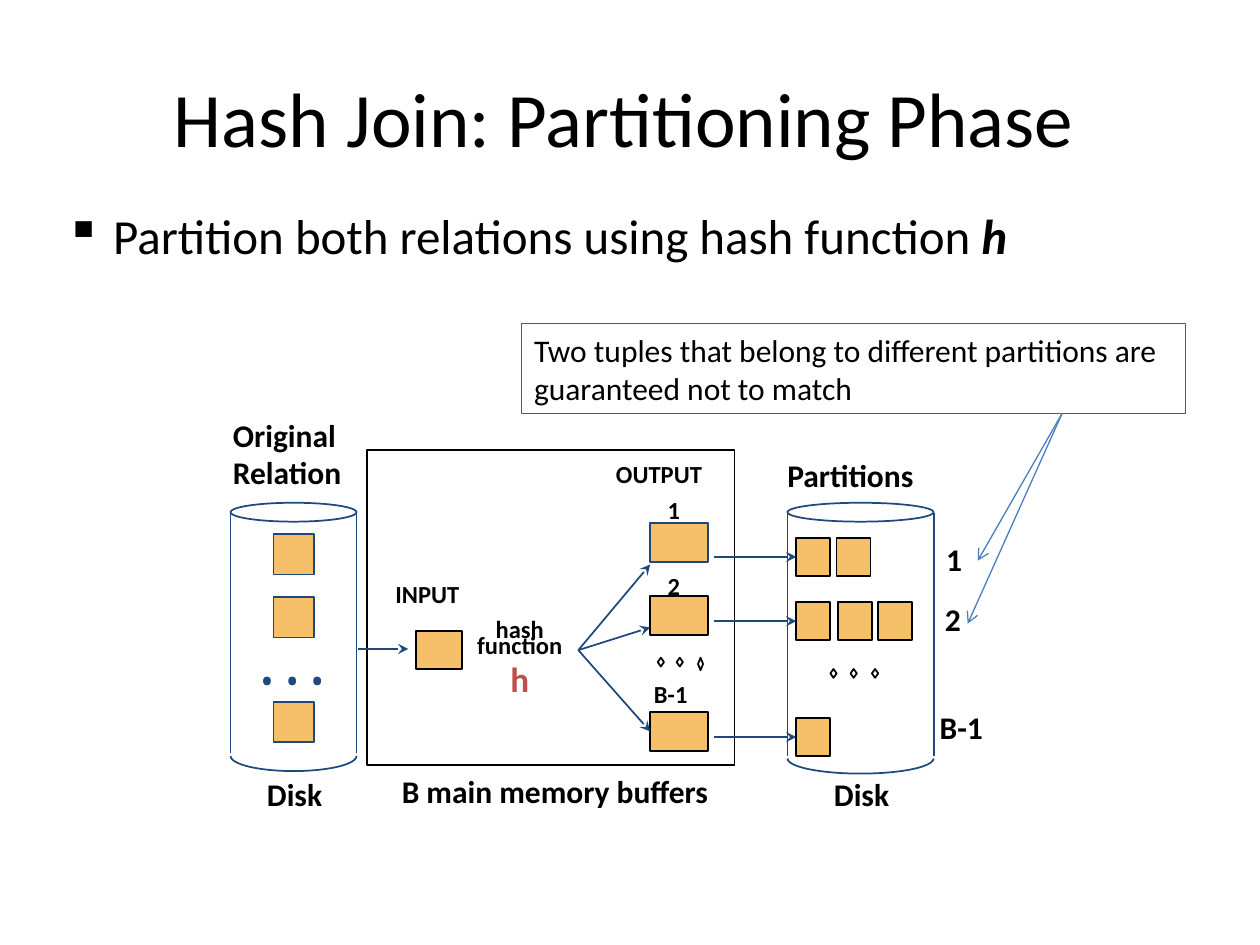
from dataclasses import dataclass

from lxml import etree
from pptx import Presentation
from pptx.dml.color import RGBColor
from pptx.enum import shapes as sh, text as tx
from pptx.oxml.ns import qn
from pptx.util import Inches, Pt


@dataclass(frozen=True)
class Theme:
    font: str = "Calibri"
    dots_font: str = "Cambria"
    ink: str = "000000"
    navy: str = "1F497D"
    page: str = "F6BF69"
    hash: str = "C0504D"
    callout: str = "0070C0"
    pointer: str = "4B7EBC"
    title_size: int = 44
    body_size: int = 28
    dots_size: int = 32
    hash_size: int = 20
    label_size: int = 18
    small_size: int = 14


THEME = Theme()


@dataclass(frozen=True)
class Box:
    left: float
    top: float
    width: float
    height: float

    @property
    def emu(self):
        return [Inches(v) for v in (self.left, self.top, self.width, self.height)]

    @property
    def middle(self) -> float:
        return self.top + self.height / 2


@dataclass(frozen=True)
class Label:
    lines: tuple[str, ...]
    box: Box
    size: int = THEME.label_size
    font: str = THEME.font
    color: str = THEME.ink


@dataclass(frozen=True)
class Disk:
    left: float
    right: float
    bottom: float


@dataclass(frozen=True)
class Partition:
    top: float
    page_lefts: tuple[float, ...]


LABELS = [
    Label(("B main memory buffers",), Box(3.09, 6.08, 2.75, 0.4)),
    Label(("Disk",), Box(6.52, 6.1, 0.68, 0.4)),
    Label(("Disk",), Box(2.02, 6.1, 0.68, 0.4)),
    Label(("Original", "Relation"), Box(1.75, 3.25, 1.16, 0.7)),
    Label(("Partitions",), Box(6.15, 3.57, 1.25, 0.4)),
    Label(("1",), Box(7.41, 4.24, 0.32, 0.4)),
    Label(("2",), Box(7.4, 4.71, 0.32, 0.4)),
    Label(("B-1",), Box(7.36, 5.57, 0.57, 0.4)),
    Label(("OUTPUT",), Box(4.79, 3.59, 1.01, 0.33), THEME.small_size),
    Label(("INPUT",), Box(3.04, 4.55, 0.8, 0.33), THEME.small_size),
    Label(("1",), Box(5.2, 3.88, 0.3, 0.33), THEME.small_size),
    Label(("2",), Box(5.2, 4.48, 0.3, 0.33), THEME.small_size),
    Label(("B-1",), Box(5.09, 5.34, 0.49, 0.33), THEME.small_size),
    Label((". . .",), Box(1.97, 4.95, 0.75, 0.63), THEME.dots_size,
          THEME.dots_font, THEME.navy),
]
DISKS = [Disk(1.83, 2.83, 6.0), Disk(6.25, 7.41, 6.02)]
RELATION_PAGE_TOPS = (4.24, 4.74, 5.57)
PARTITIONS = [
    Partition(4.27, (6.32, 6.64)),
    Partition(4.78, (6.32, 6.65, 6.97)),
    Partition(5.7, (6.32,)),
]
ELLIPSIS_DIAMONDS = [
    *(Box(left, 5.31, 0.05, 0.07) for left in (6.59, 6.75, 6.92)),
    *(Box(left, 5.22, 0.05, 0.07) for left in (5.22, 5.37)),
    Box(5.54, 5.22, 0.04, 0.1),
]


def add_run(paragraph, words: str, size: int, color: str = THEME.ink,
            font: str = THEME.font, bold: bool = False, italic: bool = False) -> None:
    run = paragraph.add_run()
    run.text = words
    run.font.size, run.font.name = Pt(size), font
    run.font.bold, run.font.italic = bold, italic
    run.font.color.rgb = RGBColor.from_string(color)


def draw_shape(slide, kind, box: Box, line: str, fill: str | None = None, width: float = 1):
    shape = slide.shapes.add_shape(kind, *box.emu)
    shape.shadow.inherit = False
    if fill:
        shape.fill.solid()
        shape.fill.fore_color.rgb = RGBColor.from_string(fill)
    else:
        shape.fill.background()
    shape.line.color.rgb = RGBColor.from_string(line)
    shape.line.width = Pt(width)
    return shape


def draw_page(slide, box: Box, line: str = THEME.ink):
    return draw_shape(slide, sh.MSO_SHAPE.RECTANGLE, box, line, THEME.page)


def draw_line(slide, start: tuple[float, float], end: tuple[float, float],
              color: str = THEME.navy, width: float = 1, head: str | None = None):
    line = slide.shapes.add_connector(
        sh.MSO_CONNECTOR.STRAIGHT, *(Inches(v) for v in (*start, *end)))
    line.line.color.rgb = RGBColor.from_string(color)
    line.line.width = Pt(width)
    if head:
        etree.SubElement(line.line._get_or_add_ln(), qn("a:tailEnd"), type=head)
    etree.SubElement(line._element.spPr, qn("a:effectLst"))
    return line


def draw_disk(slide, disk: Disk) -> None:
    """Draw an open cylinder: a top ellipse, two sides and a lower half ellipse."""
    width = disk.right - disk.left
    draw_shape(slide, sh.MSO_SHAPE.OVAL, Box(disk.left, 3.99, width, 0.15), THEME.navy)
    for side in (disk.left, disk.right):
        draw_line(slide, (side, 4.07), (side, disk.bottom - 0.02))
    base = draw_shape(slide, sh.MSO_SHAPE.ARC,
                      Box(disk.left, disk.bottom - 0.12, width, 0.24), THEME.navy)
    base.adjustments[0], base.adjustments[1] = 0, 108  # 0 to 180 degrees


def add_text_frame(slide, box: Box):
    frame = slide.shapes.add_textbox(*box.emu).text_frame
    frame.word_wrap = False
    return frame


def draw_label(slide, label: Label) -> None:
    frame = add_text_frame(slide, label.box)
    for index, words in enumerate(label.lines):
        paragraph = frame.add_paragraph() if index else frame.paragraphs[0]
        add_run(paragraph, words, label.size, label.color, label.font, bold=True)


def draw_hash_function(slide) -> None:
    frame = add_text_frame(slide, Box(3.68, 4.82, 0.89, 0.78))
    name, kind = frame.paragraphs[0], frame.add_paragraph()
    symbol = frame.add_paragraph()
    kind.line_spacing = 0.5
    for paragraph in (name, kind, symbol):
        paragraph.alignment = tx.PP_ALIGN.CENTER
    add_run(name, "hash", THEME.small_size, bold=True)
    add_run(kind, "function", THEME.small_size, bold=True)
    add_run(symbol, "h", THEME.hash_size, THEME.hash, bold=True)


def draw_heading(slide) -> None:
    title = slide.shapes.title
    title.left, title.top, title.width, title.height = Box(0.08, 0.3, 9.75, 1.25).emu
    title.text_frame.vertical_anchor = tx.MSO_ANCHOR.MIDDLE
    heading = title.text_frame.paragraphs[0]
    heading.alignment = tx.PP_ALIGN.CENTER
    add_run(heading, "Hash Join: Partitioning Phase", THEME.title_size)

    body = slide.shapes.add_textbox(*Box(0.42, 1.58, 9.45, 0.7).emu).text_frame
    body.word_wrap = True
    point = body.paragraphs[0]
    properties = point._p.get_or_add_pPr()
    properties.set("marL", str(Inches(0.38)))
    properties.set("indent", str(-Inches(0.38)))
    etree.SubElement(properties, qn("a:buChar"), char="▪")
    add_run(point, "Partition both relations using hash function ", THEME.body_size)
    add_run(point, "h", THEME.body_size, bold=True, italic=True)


def draw_callout(slide) -> None:
    callout = draw_shape(slide, sh.MSO_SHAPE.RECTANGLE, Box(4.14, 2.57, 5.27, 0.71),
                         THEME.callout, width=0.75)
    callout.text_frame.word_wrap = False
    claim = callout.text_frame.paragraphs[0]
    claim.alignment = tx.PP_ALIGN.LEFT
    add_run(claim, "Two tuples that belong to different partitions are ", THEME.label_size)
    claim.add_line_break()
    add_run(claim, "guaranteed not to match", THEME.label_size)
    for target in ((7.76, 4.45), (7.68, 4.95)):
        draw_line(slide, (8.43, 3.28), target, THEME.pointer, 0.75, "arrow")


def draw_dataflow(slide) -> None:
    draw_shape(slide, sh.MSO_SHAPE.RECTANGLE, Box(2.91, 3.57, 2.92, 2.5), THEME.ink)
    for label in LABELS:
        draw_label(slide, label)
    draw_hash_function(slide)
    for disk in DISKS:
        draw_disk(slide, disk)
    for diamond in ELLIPSIS_DIAMONDS:
        draw_shape(slide, sh.MSO_SHAPE.DIAMOND, diamond, THEME.ink)
    for top in RELATION_PAGE_TOPS:
        draw_page(slide, Box(2.17, top, 0.32, 0.32), THEME.navy)

    draw_page(slide, Box(3.3, 5.01, 0.37, 0.3))
    draw_line(slide, (2.84, 5.15), (3.24, 5.15), head="stealth")
    for top, line in ((4.15, THEME.navy), (4.73, THEME.ink), (5.65, THEME.ink)):
        last_buffer = draw_page(slide, Box(5.16, top, 0.46, 0.31), line)
    for height in (4.48, 4.98, 5.81):
        last_arrow = draw_line(slide, (4.59, 5.16), (5.16, height), head="stealth")
    last_arrow.end_connect(last_buffer, 1)

    for partition in PARTITIONS:
        boxes = [Box(left, partition.top, 0.27, 0.3) for left in partition.page_lefts]
        pages = [draw_page(slide, box) for box in boxes]
        middle = boxes[0].middle
        arrow = draw_line(slide, (5.67, middle), (6.32, middle), head="stealth")
        arrow.end_connect(pages[0], 1)


def main() -> None:
    deck = Presentation()
    deck.slide_width, deck.slide_height = Inches(10), Inches(7.5)
    slide = deck.slides.add_slide(deck.slide_layouts[5])
    draw_heading(slide)
    draw_dataflow(slide)
    draw_callout(slide)
    deck.save("out.pptx")


if __name__ == "__main__":
    main()
